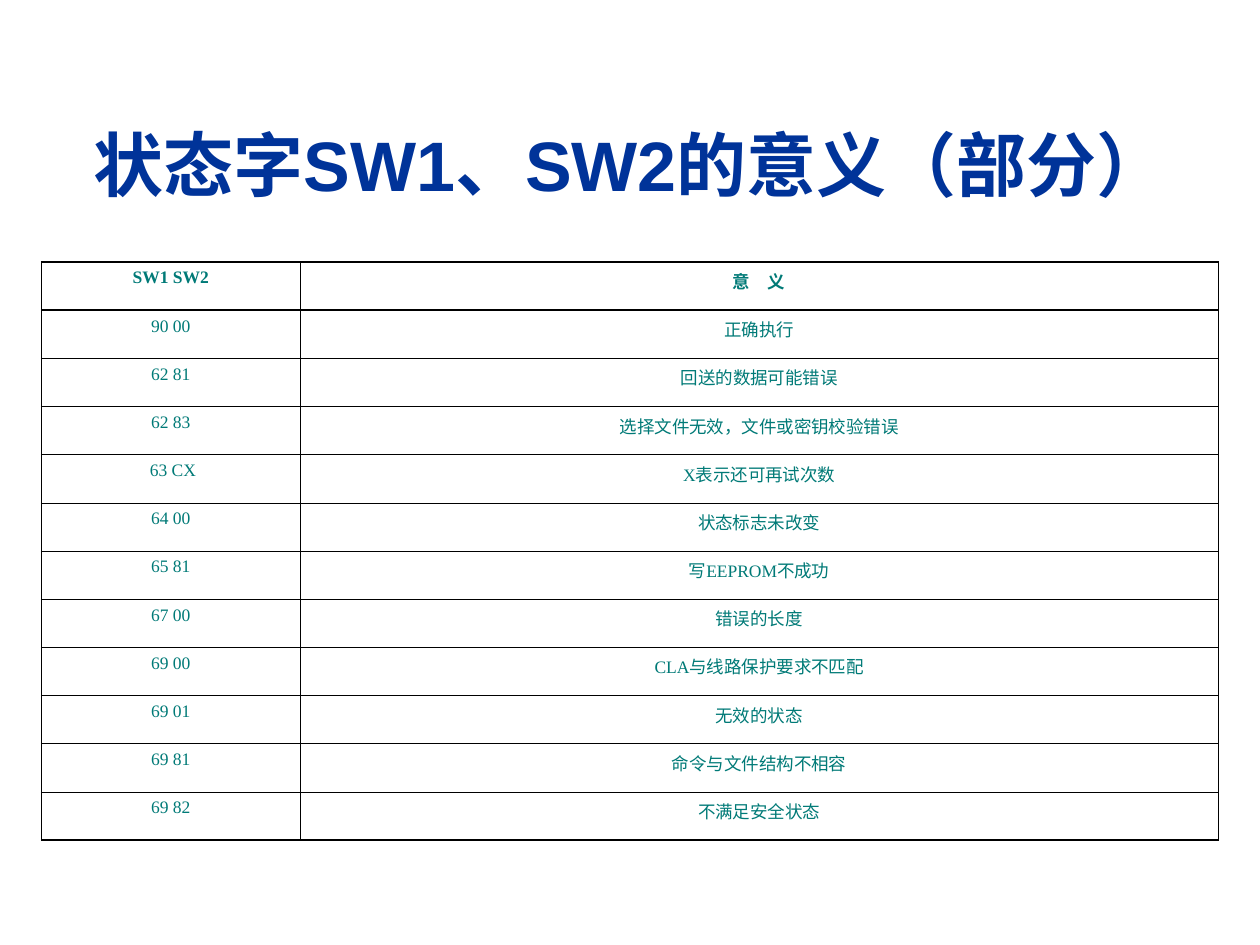
from lxml import etree
from pptx import Presentation
from pptx.dml.color import RGBColor
from pptx.enum.text import MSO_ANCHOR, PP_ALIGN
from pptx.oxml.ns import qn
from pptx.util import Pt

CENTER = PP_ALIGN.CENTER
MIDDLE = MSO_ANCHOR.MIDDLE
COLORS = {"title": "003399", "text": "007A77", "line": "000000"}
THICK, THIN = 0.96, 0.45
LEFT, WIDTH = 23.76, 672.48
CODE_WIDTH = 147.6
ROW_HEIGHT = 27.54

ROWS = [
    ("SW1 SW2", "意　义"),
    ("90 00", "正确执行"),
    ("62 81", "回送的数据可能错误"),
    ("62 83", "选择文件无效\uff0c文件或密钥校验错误"),
    (" 63 CX", "X表示还可再试次数"),
    ("64 00", "状态标志未改变"),
    ("65 81", "写EEPROM不成功"),
    ("67 00", "错误的长度"),
    ("69 00", "CLA与线路保护要求不匹配"),
    ("69 01", "无效的状态"),
    ("69 81", "命令与文件结构不相容"),
    ("69 82", "不满足安全状态"),
]


class Deck:
    def __init__(self, slide):
        self.slide = slide

    def label(self, frame, text, size, face, color, bold):
        para = frame.paragraphs[0]
        para.text = text
        para.alignment = CENTER
        font = para.font
        font.size, font.name, font.bold = Pt(size), face, bold
        font.color.rgb = RGBColor.from_string(COLORS[color])

    def title(self, text, left, top, width, height):
        box = self.slide.shapes.add_textbox(Pt(left), Pt(top), Pt(width), Pt(height))
        frame = box.text_frame
        frame.word_wrap = True
        frame.vertical_anchor = MIDDLE
        self.label(frame, text, 40, "Arial", "title", True)

    def border(self, cell, side, width):
        props = cell._tc.get_or_add_tcPr()
        line = etree.SubElement(props, qn("a:ln" + side), w=str(int(Pt(width))))
        fill = etree.SubElement(line, qn("a:solidFill"))
        etree.SubElement(fill, qn("a:srgbClr"), val=COLORS["line"])

    def table(self, rows, left, top, widths, height):
        last = len(rows) - 1
        end = len(widths) - 1
        frame = self.slide.shapes.add_table(
            len(rows), len(widths), Pt(left), Pt(top), Pt(sum(widths)), Pt(height * len(rows)))
        table = frame.table
        table.first_row = table.horz_banding = False
        for col, width in zip(table.columns, widths):
            col.width = Pt(width)
        for r, row in enumerate(rows):
            table.rows[r].height = Pt(height)
            for c, text in enumerate(row):
                cell = table.cell(r, c)
                self.label(cell.text_frame, text, 10, "Times New Roman", "text", r == 0)
                heavy = {"L": c == 0, "R": c == end, "T": r < 2, "B": r in (0, last)}
                for side, thick in heavy.items():
                    self.border(cell, side, THICK if thick else THIN)
                cell.fill.background()


show = Presentation()
show.slide_width, show.slide_height = Pt(720), Pt(540)
deck = Deck(show.slides.add_slide(show.slide_layouts[6]))
deck.title("状态字SW1、SW2的意义（部分）", LEFT, 48.24, WIDTH, 90)
deck.table(ROWS, LEFT, 149.76, [CODE_WIDTH, WIDTH - CODE_WIDTH], ROW_HEIGHT)
show.save("out.pptx")
